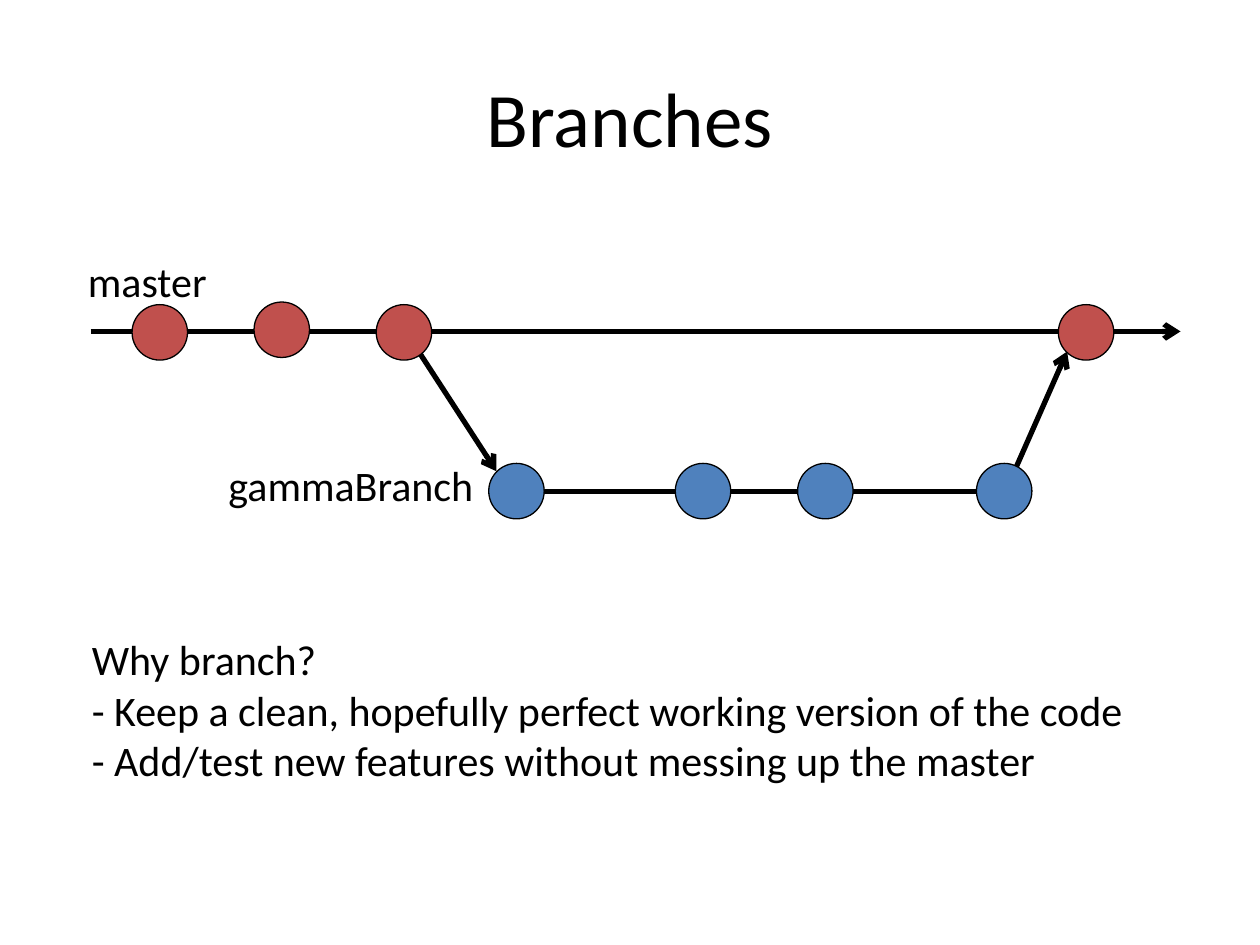
"""Build the Branches slide: a master line with a feature branch that merges back."""
import pptx
import pptx.util
import pptx.dml.color
import pptx.enum.shapes
import pptx.enum.text
import pptx.oxml
import pptx.oxml.ns

Pt = pptx.util.Pt
BLACK = pptx.dml.color.RGBColor(0x00, 0x00, 0x00)
RED = pptx.dml.color.RGBColor(0xC0, 0x50, 0x4D)
BLUE = pptx.dml.color.RGBColor(0x4F, 0x81, 0xBD)
CENTER = pptx.enum.text.PP_ALIGN.CENTER
LEFT = pptx.enum.text.PP_ALIGN.LEFT
TOP = pptx.enum.text.MSO_ANCHOR.TOP
MIDDLE = pptx.enum.text.MSO_ANCHOR.MIDDLE

DIAMETER = 31.7
MASTER_Y = 189.4
BRANCH_Y = 280.8


def write_lines(box, lines, size, align, anchor):
    frame = box.text_frame
    frame.word_wrap = True
    frame.vertical_anchor = anchor
    frame.text = "\n".join(lines)
    font_format = {"name": "Calibri", "size": Pt(size)}
    for para in frame.paragraphs:
        para.alignment = align
        for span in para.runs:
            for name, value in font_format.items():
                setattr(span.font, name, value)
            span.font.color.rgb = BLACK


deck = pptx.Presentation()
deck.slide_width, deck.slide_height = Pt(720), Pt(540)
page = deck.slides.add_slide(deck.slide_layouts[5])

title = page.shapes.title
title_place = {"left": Pt(36), "top": Pt(21.6), "width": Pt(648), "height": Pt(90)}
for name, value in title_place.items():
    setattr(title, name, value)
write_lines(title, ["Branches"], 44, CENTER, MIDDLE)

arrows = [
    (231.8, MASTER_Y, 283.7, 269.3),
    (51.8, MASTER_Y, 674.6, MASTER_Y),
    (295.2, BRANCH_Y, 583.2, BRANCH_Y),
    (574.6, BRANCH_Y, 609.8, 200.9),
]
for ends in arrows:
    arrow = page.shapes.add_connector(
        pptx.enum.shapes.MSO_CONNECTOR.STRAIGHT, *[Pt(end) for end in ends]
    )
    arrow.line.width = Pt(3)
    arrow.line.color.rgb = BLACK
    head = pptx.oxml.parse_xml(
        f'<a:tailEnd {pptx.oxml.ns.nsdecls("a")} type="arrow"/>'
    )
    arrow.line._get_or_add_ln().append(head)
    arrow._element.spPr.append(
        pptx.oxml.parse_xml(f'<a:effectLst {pptx.oxml.ns.nsdecls("a")}/>')
    )

commits = [
    (75.5, 174.1, RED),
    (145.2, 172.6, RED),
    (215, 174.1, RED),
    (604.8, 174.1, RED),
    (279.3, 264.8, BLUE),
    (385.9, 264.8, BLUE),
    (455.8, 264.8, BLUE),
    (558, 264.8, BLUE),
]
for left, top, color in commits:
    commit = page.shapes.add_shape(
        pptx.enum.shapes.MSO_SHAPE.OVAL, Pt(left), Pt(top), Pt(DIAMETER), Pt(DIAMETER)
    )
    commit.shadow.inherit = False
    commit.fill.solid()
    commit.fill.fore_color.rgb = color
    commit.line.color.rgb = BLACK
    commit.line.width = Pt(0.75)

reasons = [
    "Why branch?",
    "- Keep a clean, hopefully perfect working version of the code",
    "- Add/test new features without messing up the master",
]
texts = [
    ((23, 142.6, 122.4, 36), ["master"], CENTER),
    ((107.3, 259.2, 186.5, 36), ["gammaBranch"], CENTER),
    ((45.4, 358.6, 638.6, 123.8), reasons, LEFT),
]
for place, lines, align in texts:
    box = page.shapes.add_textbox(*[Pt(length) for length in place])
    write_lines(box, lines, 24, align, TOP)

deck.save("out.pptx")
